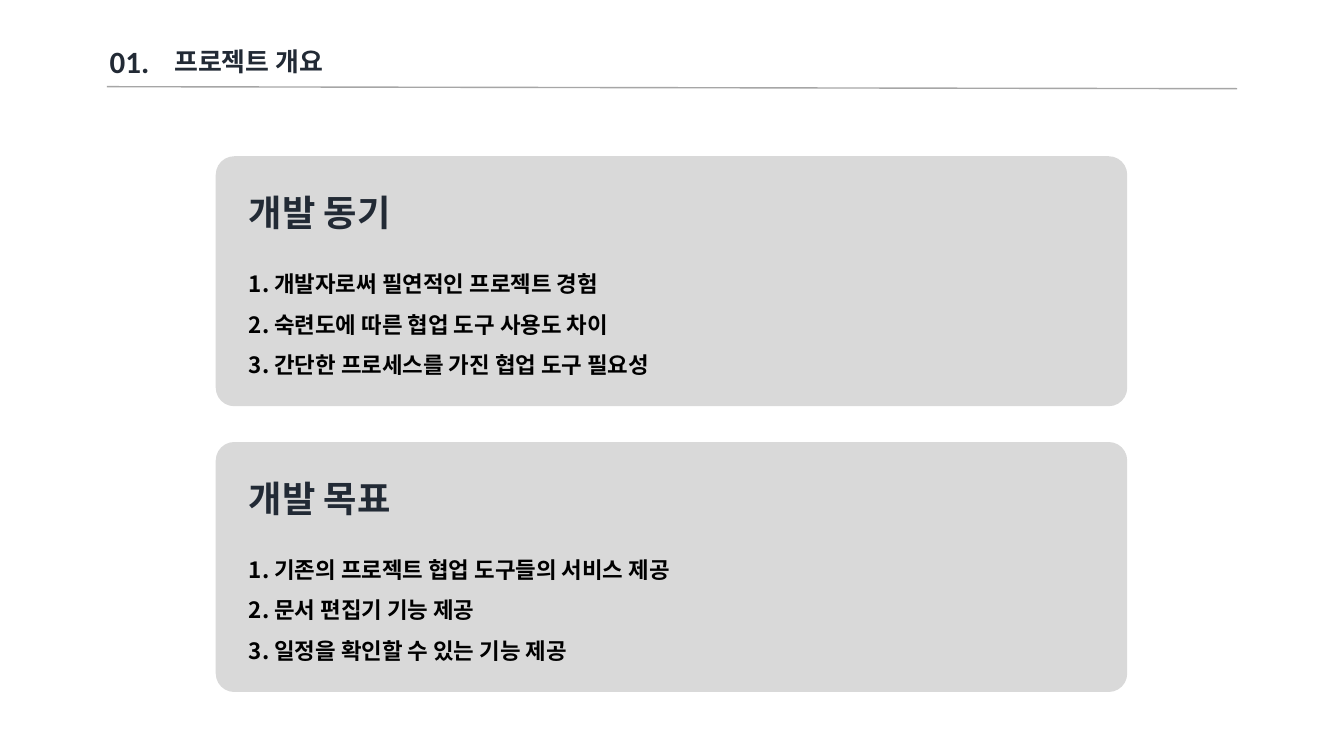
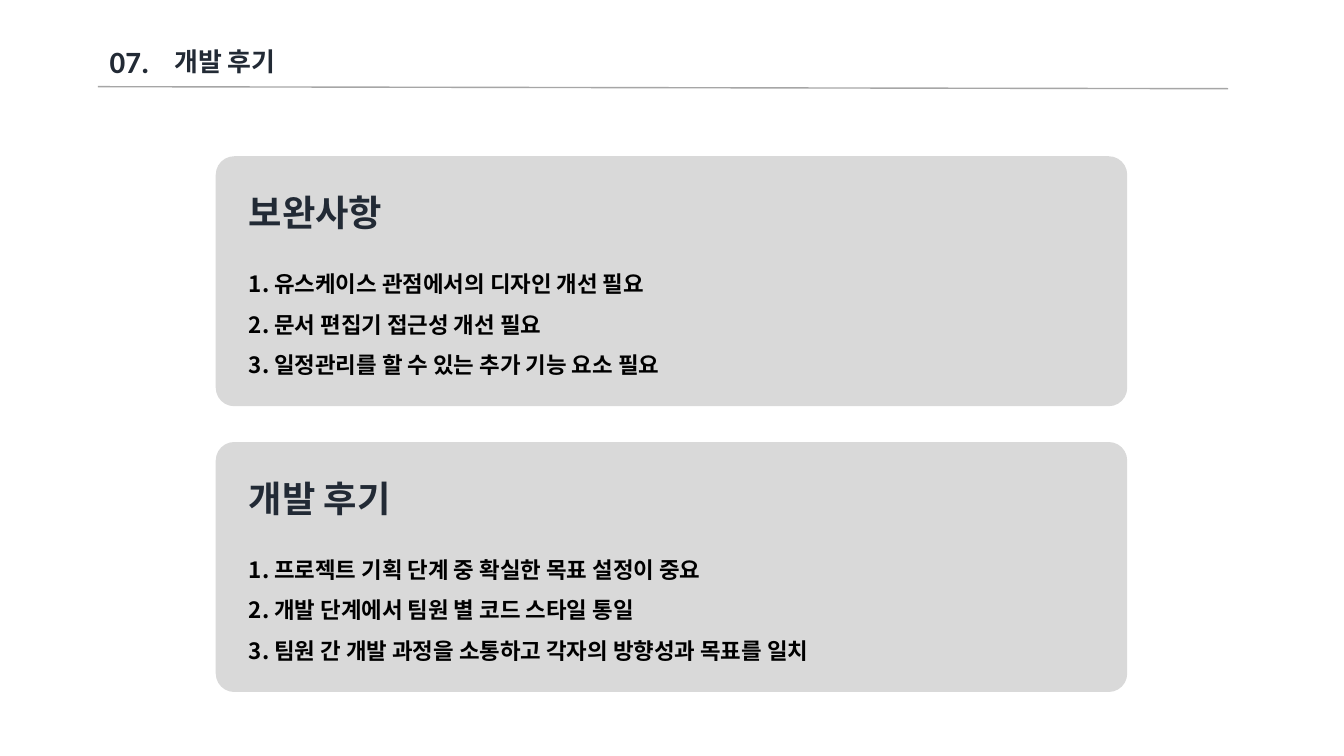
import pptx
import pptx.util
import pptx.dml.color
import pptx.enum.shapes
import pptx.enum.text
import pptx.oxml.ns
import lxml.etree

Inches = pptx.util.Inches
RGBColor = pptx.dml.color.RGBColor
ALIGN = pptx.enum.text.PP_ALIGN

# Shared style
NAVY = RGBColor(0x22, 0x2A, 0x35)
BLACK = RGBColor(0, 0, 0)
PANEL_GRAY = RGBColor(0xD9, 0xD9, 0xD9)
RULE_GRAY = RGBColor(0xA6, 0xA6, 0xA6)
KOREAN_FONT = "Noto Sans CJK KR"
NUMBER_FONT = "Calibri"

# Shared layout, in inches
HEADER_LEFT, HEADER_TOP = 0.97, 0.37
PANEL_LEFT, PANEL_TOP = 2.14, 1.55
PANEL_WIDTH, PANEL_HEIGHT = 9.04, 2.48
PANEL_STEP = 2.835

# Section number, title, left end of the rule, panels
SECTIONS = [
    ("01.", "프로젝트 개요", 1.06, [
        ("개발 동기", ["1. 개발자로써 필연적인 프로젝트 경험",
                   "2. 숙련도에 따른 협업 도구 사용도 차이",
                   "3. 간단한 프로세스를 가진 협업 도구 필요성"]),
        ("개발 목표", ["1. 기존의 프로젝트 협업 도구들의 서비스 제공",
                   "2. 문서 편집기 기능 제공",
                   "3. 일정을 확인할 수 있는 기능 제공"]),
    ]),
    ("07.", "개발 후기", 0.97, [
        ("보완사항", ["1. 유스케이스 관점에서의 디자인 개선 필요",
                  "2. 문서 편집기 접근성 개선 필요",
                  "3. 일정관리를 할 수 있는 추가 기능 요소 필요"]),
        ("개발 후기", ["1. 프로젝트 기획 단계 중 확실한 목표 설정이 중요",
                   "2. 개발 단계에서 팀원 별 코드 스타일 통일",
                   "3. 팀원 간 개발 과정을 소통하고 각자의 방향성과 목표를 일치"]),
    ]),
]


def add_text(shapes, box, lines, size, color, font=KOREAN_FONT,
             align=ALIGN.LEFT, spacing=1.0):
    """Bold text box, one paragraph for each line."""
    text_box = shapes.add_textbox(*map(Inches, box))
    text_frame = text_box.text_frame
    text_frame.word_wrap = True
    text_frame.auto_size = pptx.enum.text.MSO_AUTO_SIZE.SHAPE_TO_FIT_TEXT
    text_frame.text = "\n".join(lines)
    for paragraph in text_frame.paragraphs:
        paragraph.alignment = align
        paragraph.line_spacing = spacing
        for run in paragraph.runs:
            run.font.size = pptx.util.Pt(size)
            run.font.bold = True
            run.font.color.rgb = color
            run.font.name = font
            # East Asian glyphs take their typeface from a:ea
            east_asian = lxml.etree.SubElement(
                run.font._element, pptx.oxml.ns.qn("a:ea"))
            east_asian.set("typeface", font)
    return text_box


def add_header(slide, left, top, number, title, rule_left):
    """Section number and title above a thin rule."""
    rule = slide.shapes.add_connector(
        pptx.enum.shapes.MSO_CONNECTOR.STRAIGHT,
        Inches(rule_left), Inches(top + 0.49),
        Inches(rule_left + 11.21), Inches(top + 0.51))
    rule.line.color.rgb = RULE_GRAY
    rule.line.width = pptx.util.Pt(1)
    lxml.etree.SubElement(rule._element.spPr, pptx.oxml.ns.qn("a:effectLst"))

    number_box = add_text(slide.shapes, (left, top, 0.63, 0.47), [number],
                          22.1, NAVY, NUMBER_FONT, ALIGN.CENTER)
    number_box.text_frame.margin_left = Inches(0.09)
    number_box.text_frame.margin_right = Inches(0.09)
    add_text(slide.shapes, (left + 0.66, top + 0.03, 2.53, 0.41), [title],
             18.5, NAVY)


def add_panel(slide, left, top, width, height, heading, items):
    """Rounded panel grouped with its heading and numbered items."""
    shapes = slide.shapes.add_group_shape().shapes
    panel = shapes.add_shape(
        pptx.enum.shapes.MSO_SHAPE.ROUNDED_RECTANGLE,
        Inches(left), Inches(top), Inches(width), Inches(height))
    panel.adjustments[0] = 0.074
    panel.shadow.inherit = False
    panel.fill.solid()
    panel.fill.fore_color.rgb = PANEL_GRAY
    panel.line.fill.background()

    text_left, text_width = left + 0.23, width - 0.44
    add_text(shapes, (text_left, top + 0.95, text_width, 1.31), items,
             16, BLACK, spacing=1.5)
    add_text(shapes, (text_left, top + 0.07, text_width, 0.67), [heading],
             25.9, NAVY, spacing=1.5)


def add_section_slide(presentation, number, title, rule_left, panels):
    """Header over a column of equal panels."""
    slide = presentation.slides.add_slide(presentation.slide_layouts[6])
    add_header(slide, HEADER_LEFT, HEADER_TOP, number, title, rule_left)
    for index, (heading, items) in enumerate(panels):
        add_panel(slide, PANEL_LEFT, PANEL_TOP + index * PANEL_STEP,
                  PANEL_WIDTH, PANEL_HEIGHT, heading, items)


presentation = pptx.Presentation()
presentation.slide_width = Inches(13.33)
presentation.slide_height = Inches(7.5)
for section in SECTIONS:
    add_section_slide(presentation, *section)
presentation.save("out.pptx")
